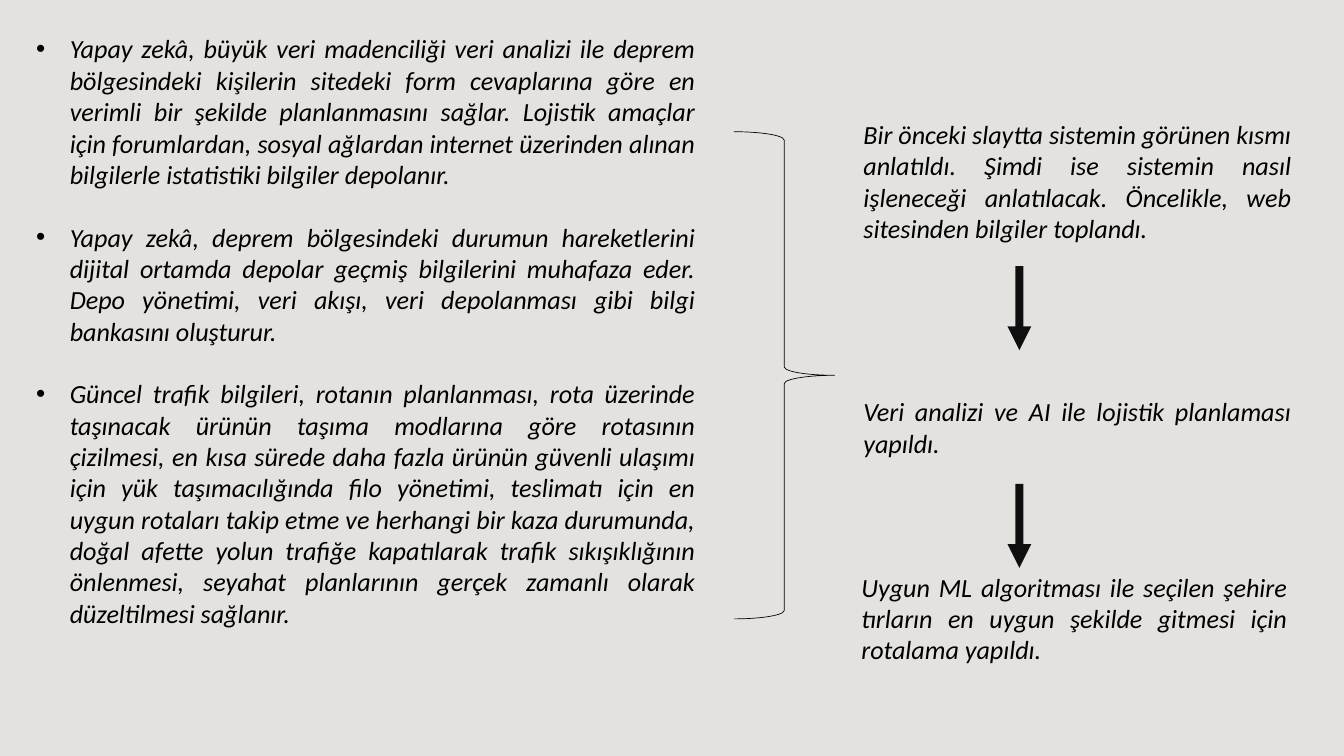
"""Build a slide that links three notes on AI logistics to a three-step flow."""
from pptx import Presentation, util as u
from pptx.dml.color import RGBColor
from pptx.enum import shapes as sh, text as tx
from pptx.oxml import parse_xml
from pptx.oxml.ns import nsdecls, qn

HUES = {"ground": "E3E2DE", "ink": "000000"}
INK = RGBColor.from_string(HUES["ink"])
FONT = {"name": "Calibri", "size": u.Pt(28), "italic": True}
PARA = {"alignment": tx.PP_ALIGN.JUSTIFY, "line_spacing": u.Pt(33.6)}
FRAME = {"word_wrap": True, "auto_size": tx.MSO_AUTO_SIZE.NONE}
COLS, ROWS = 80, 45

deck = Presentation()
deck.slide_width, deck.slide_height = u.Inches(20), u.Inches(11.25)
slide = deck.slides.add_slide(deck.slide_layouts[6])
slide.background.fill.solid()
slide.background.fill.fore_color.rgb = RGBColor.from_string(HUES["ground"])


def grid(*cells):
    sides = (deck.slide_width / COLS, deck.slide_height / ROWS)
    return [int(cell * sides[i % 2]) for i, cell in enumerate(cells)]


def write(cells, lines, dots=False):
    frame = slide.shapes.add_textbox(*grid(*cells)).text_frame
    for key, value in FRAME.items():
        setattr(frame, key, value)
    for i, line in enumerate(lines):
        para = frame.paragraphs[0] if i == 0 else frame.add_paragraph()
        for key, value in PARA.items():
            setattr(para, key, value)
        if i:
            para.space_before = PARA["line_spacing"]
        if dots:
            props = para._p.get_or_add_pPr()
            props.set("marL", str(u.Inches(0.5)))
            props.set("indent", str(-u.Inches(0.5)))
            props.append(parse_xml(f'<a:buFont {nsdecls("a")} typeface="Arial"/>'))
            props.append(parse_xml(f'<a:buChar {nsdecls("a")} char="•"/>'))
        run = para.add_run()
        run.text = line
        for key, value in FONT.items():
            setattr(run.font, key, value)
        run.font.color.rgb = INK


notes = [
    "Yapay zekâ, büyük veri madenciliği veri analizi ile deprem bölgesindeki "
    "kişilerin sitedeki form cevaplarına göre en verimli bir şekilde planlanmasını "
    "sağlar. Lojistik amaçlar için forumlardan, sosyal ağlardan internet üzerinden "
    "alınan bilgilerle istatistiki bilgiler depolanır.",
    "Yapay zekâ, deprem bölgesindeki durumun hareketlerini dijital ortamda depolar "
    "geçmiş bilgilerini muhafaza eder. Depo yönetimi, veri akışı, veri depolanması "
    "gibi bilgi bankasını oluşturur.",
    "Güncel trafik bilgileri, rotanın planlanması, rota üzerinde taşınacak ürünün "
    "taşıma modlarına göre rotasının çizilmesi, en kısa sürede daha fazla ürünün "
    "güvenli ulaşımı için yük taşımacılığında filo yönetimi, teslimatı için en uygun "
    "rotaları takip etme ve herhangi bir kaza durumunda, doğal afette yolun trafiğe "
    "kapatılarak trafik sıkışıklığının önlenmesi, seyahat planlarının gerçek zamanlı "
    "olarak düzeltilmesi sağlanır.",
]
write((1.76, 1.76, 40, 38.12), notes, dots=True)

brace = slide.shapes.add_shape(sh.MSO_SHAPE.RIGHT_BRACE, *grid(43.68, 7.84, 6, 29))
brace.shadow.inherit = False
brace.fill.background()
brace.line.color.rgb, brace.line.width = INK, u.Pt(0.75)

steps = [
    ((51, 6.84, 26.24, 7.96),
     "Bir önceki slaytta sistemin görünen kısmı anlatıldı. Şimdi ise sistemin nasıl "
     "işleneceği anlatılacak. Öncelikle, web sitesinden bilgiler toplandı."),
    ((51, 23.36, 26.24, 4.16), "Veri analizi ve AI ile lojistik planlaması yapıldı."),
    ((50.88, 33.8, 26.12, 6.04),
     "Uygun ML algoritması ile seçilen şehire tırların en uygun şekilde gitmesi için "
     "rotalama yapıldı."),
]
for cells, line in steps:
    write(cells, [line])

for top in (15.84, 28.8):
    arrow = slide.shapes.add_connector(
        sh.MSO_CONNECTOR.STRAIGHT, *grid(60.68, top, 60.68, top + 5))
    arrow.line.color.rgb, arrow.line.width = INK, u.Pt(8.5)
    edge = arrow.line._get_or_add_ln()
    edge.find(".//" + qn("a:srgbClr")).append(
        parse_xml(f'<a:alpha {nsdecls("a")} val="92000"/>'))
    edge.append(parse_xml(f'<a:tailEnd {nsdecls("a")} type="triangle"/>'))
    arrow._element.spPr.append(parse_xml(f'<a:effectLst {nsdecls("a")}/>'))

deck.save("out.pptx")
